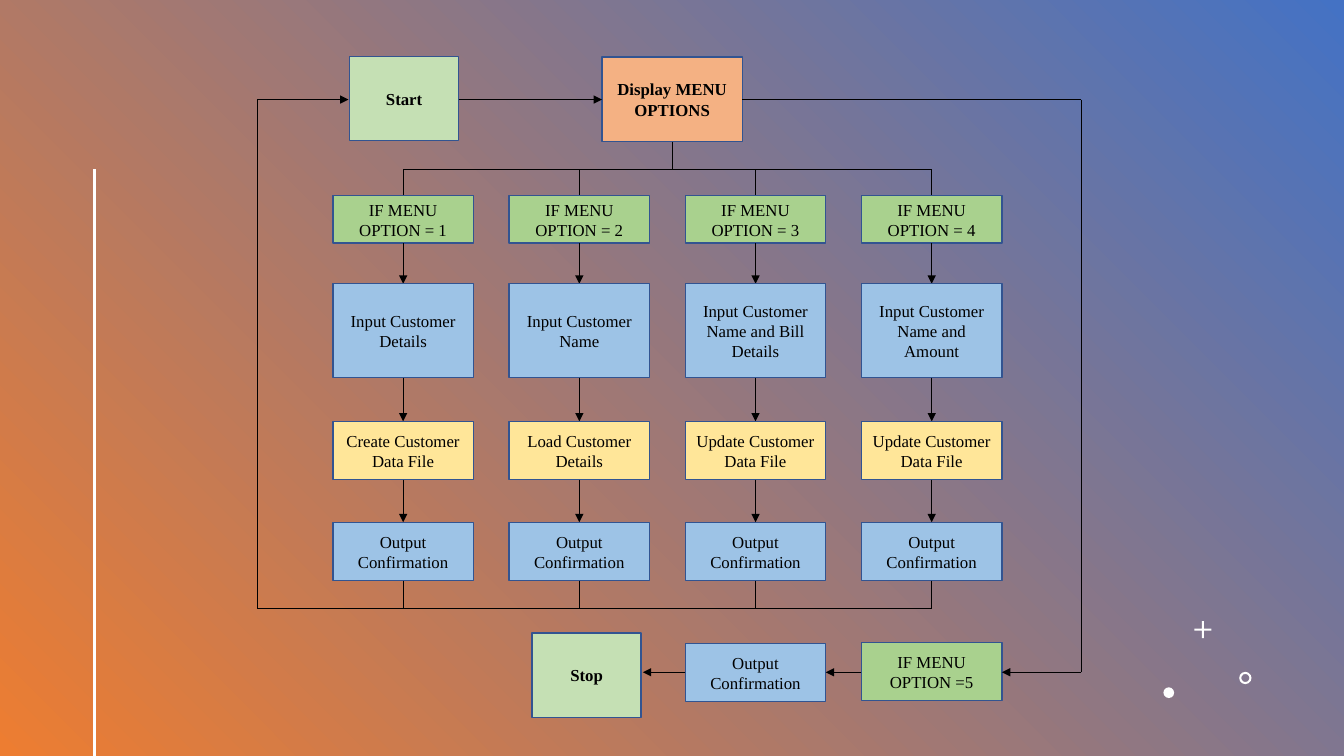
from lxml import etree
from pptx import Presentation
from pptx.dml.color import RGBColor
from pptx.enum.shapes import MSO_CONNECTOR, MSO_SHAPE
from pptx.enum.text import MSO_ANCHOR, PP_ALIGN
from pptx.oxml.ns import qn
from pptx.util import Cm, Pt

RECT = MSO_SHAPE.RECTANGLE
LINE = MSO_CONNECTOR.STRAIGHT
MIDDLE = MSO_ANCHOR.MIDDLE
CENTER = PP_ALIGN.CENTER

rgb = RGBColor.from_string
LIME, GREEN, BLUE = "C5E0B4", "A9D18E", "9DC3E6"
YELLOW, ORANGE = "FFE699", "F4B183"

prs = Presentation()
prs.slide_width, prs.slide_height = Cm(33.87), Cm(19.05)
slide = prs.slides.add_slide(prs.slide_layouts[6])
shapes = slide.shapes


def add_box(text, color, x, y, w, h, bold=False):
    box = shapes.add_shape(RECT, Cm(x), Cm(y), Cm(w), Cm(h))
    box.shadow.inherit = False
    box.fill.solid()
    box.fill.fore_color.rgb = rgb(color)
    box.line.color.rgb = rgb("325491")
    box.line.width = Pt(1)
    frame = box.text_frame
    frame.word_wrap = True
    frame.vertical_anchor = MIDDLE
    para = frame.paragraphs[0]
    para.text = text
    para.alignment = CENTER
    font = para.font
    font.name, font.size, font.bold = "Times New Roman", Pt(12), bold
    font.color.rgb = rgb("000000")


def add_line(x1, y1, x2, y2, arrow=False, color="000000", width=0.5):
    line = shapes.add_connector(LINE, Cm(x1), Cm(y1), Cm(x2), Cm(y2))
    line.line.color.rgb = rgb(color)
    line.line.width = Pt(width)
    if arrow:
        stroke = line.line._get_or_add_ln()
        etree.SubElement(stroke, qn("a:tailEnd"), type="triangle")
    etree.SubElement(line._element.spPr, qn("a:effectLst"))


# Backdrop and white ornaments
back = shapes.add_shape(RECT, 0, 0, prs.slide_width, prs.slide_height)
back.shadow.inherit = False
back.line.fill.background()
back.fill.gradient()
back.fill.gradient_angle = 225
for stop, color in zip(back.fill.gradient_stops, ("4472C4", "ED7D31")):
    stop.color.rgb = rgb(color)

add_line(2.39, 4.27, 2.39, 19.05, color="FFFFFF", width=2.25)
for kind, x, y, size, adjust in (
    (MSO_SHAPE.CROSS, 30.1, 15.65, 0.43, 0.44),
    (MSO_SHAPE.DONUT, 31.23, 16.93, 0.31, 0.17),
    (MSO_SHAPE.OVAL, 29.32, 17.32, 0.27, None),
):
    mark = shapes.add_shape(kind, Cm(x), Cm(y), Cm(size), Cm(size))
    mark.shadow.inherit = False
    mark.fill.solid()
    mark.fill.fore_color.rgb = rgb("FFFFFF")
    mark.line.fill.background()
    if adjust:
        mark.adjustments[0] = adjust

# Four menu branches
LEFT, PITCH, WIDE = 8.39, 4.44, 3.54
FORK, JOIN = 4.27, 15.34
rows = (  # top, height, color
    (4.93, 1.2, GREEN),
    (7.15, 2.37, BLUE),
    (10.62, 1.47, YELLOW),
    (13.16, 1.47, BLUE),
)
steps = (
    ("Input Customer Details", "Create Customer Data File"),
    ("Input Customer Name", "Load Customer Details"),
    ("Input Customer Name and Bill Details", "Update Customer Data File"),
    ("Input Customer Name and Amount", "Update Customer Data File"),
)
for col, (entry, action) in enumerate(steps):
    x = LEFT + col * PITCH
    mid = x + WIDE / 2
    texts = (f"IF MENU OPTION = {col + 1}", entry, action, "Output Confirmation")
    end = FORK
    for row, (text, (top, high, color)) in enumerate(zip(texts, rows)):
        add_line(mid, end, mid, top, arrow=row > 0)
        add_box(text, color, x, top, WIDE, high)
        end = top + high
    add_line(mid, end, mid, JOIN)

# Start, menu and the exit branch
TOP, LOW = 2.51, 16.94
BACK, EXIT = 6.48, 27.25
first = LEFT + WIDE / 2
last = first + 3 * PITCH
third, fourth = LEFT + 2 * PITCH, LEFT + 3 * PITCH

add_box("Start", LIME, 8.81, 1.42, 2.75, 2.13, bold=True)
add_box("Display MENU OPTIONS", ORANGE, 15.17, 1.44, WIDE, 2.13, bold=True)
add_box("IF MENU OPTION =5", GREEN, fourth, 16.19, WIDE, 1.47)
add_box("Output Confirmation", BLUE, third, 16.21, WIDE, 1.47)
add_box("Stop", LIME, 13.41, 15.95, 2.75, 2.13, bold=True)

for line in (
    (16.94, 3.57, 16.94, FORK),
    (first, FORK, last, FORK),
    (BACK, JOIN, last, JOIN),
    (BACK, JOIN, BACK, TOP),
    (BACK, TOP, 8.78, TOP, True),
    (11.56, TOP, 15.17, TOP, True),
    (15.17 + WIDE, TOP, EXIT, TOP),
    (EXIT, TOP, EXIT, LOW),
    (EXIT, LOW, fourth + WIDE, LOW, True),
    (fourth, LOW, third + WIDE, LOW, True),
    (third, LOW, 16.2, LOW, True),
):
    add_line(*line)

prs.save("out.pptx")
